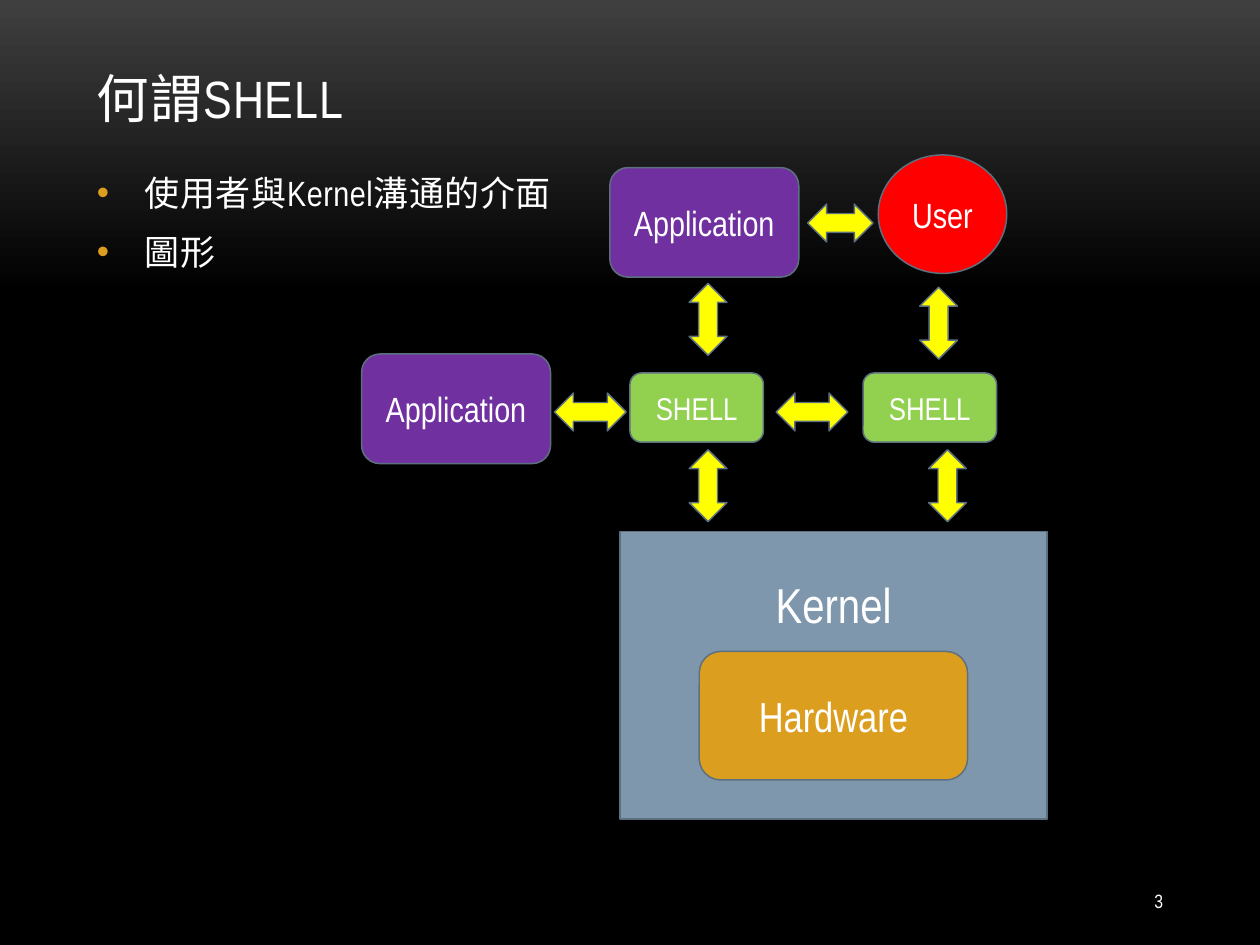
from pptx import Presentation
from pptx.dml.color import RGBColor
from pptx.enum.shapes import MSO_SHAPE
from pptx.enum.text import MSO_ANCHOR, PP_ALIGN
from pptx.oxml import parse_xml
from pptx.oxml.ns import nsdecls
from pptx.util import Inches, Pt


def color(hex_code):
    return RGBColor.from_string(hex_code)


def write(shape, text, size, align=PP_ALIGN.LEFT, anchor=MSO_ANCHOR.MIDDLE, spacing=0):
    """Fill a shape with text, one paragraph per line."""
    frame = shape.text_frame
    frame.word_wrap = True
    frame.vertical_anchor = anchor
    frame.text = text
    for para in frame.paragraphs:
        para.alignment = align
        for span in para.runs:
            span.font.size = Pt(size)
            span.font.name = "Arial Narrow"
            span.font.color.rgb = color("FFFFFF")
            if spacing:
                span.font._element.set("spc", str(int(spacing * 100)))
    return frame


deck = Presentation()
deck.slide_width = Inches(10)
deck.slide_height = Inches(7.5)
page = deck.slides.add_slide(deck.slide_layouts[6])

# Background: grey fading down to black
backdrop = page.background.fill
backdrop.gradient()
backdrop.gradient_angle = 270
for stop, (position, shade) in zip(backdrop.gradient_stops, [(0, "3F3F3F"), (0.31, "000000")]):
    stop.position = position
    stop.color.rgb = color(shade)

# Title and slide number
title = page.shapes.add_textbox(Inches(0.67), Inches(0.3), Inches(8.67), Inches(0.77))
write(title, "何謂SHELL", 30, anchor=MSO_ANCHOR.BOTTOM, spacing=0.5)
number = page.shapes.add_textbox(Inches(8.25), Inches(6.95), Inches(1.08), Inches(0.4))
write(number, "3", 11, align=PP_ALIGN.RIGHT)

# Bullet list
body = page.shapes.add_textbox(Inches(0.67), Inches(1.31), Inches(8.67), Inches(4.94))
points = write(body, "使用者與Kernel溝通的介面\n圖形", 20, anchor=MSO_ANCHOR.TOP, spacing=0.3)
for para in points.paragraphs:
    para.space_before = Pt(4)
    para.space_after = Pt(6)
    layout = para._p.get_or_add_pPr()
    layout.set("marL", str(Inches(0.38)))
    layout.set("indent", str(-Inches(0.38)))
    for xml in (
        f'<a:buClr {nsdecls("a")}><a:srgbClr val="DC9E1F"/></a:buClr>',
        f'<a:buFont {nsdecls("a")} typeface="Arial"/>',
        f'<a:buChar {nsdecls("a")} char="•"/>',
    ):
        layout.append(parse_xml(xml))

# Diagram: kind, left, top, width, height, fill, label, text size
RECT, ROUND, OVAL = MSO_SHAPE.RECTANGLE, MSO_SHAPE.ROUNDED_RECTANGLE, MSO_SHAPE.OVAL
parts = [
    (RECT, 4.92, 4.22, 3.39, 2.28, "7E97AD", "Kernel", 28),
    (ROUND, 5.55, 5.17, 2.13, 1.02, "DC9E1F", "Hardware", 24),
    (ROUND, 5, 2.96, 1.06, 0.55, "92D050", "SHELL", 18),
    (ROUND, 6.85, 2.96, 1.06, 0.55, "92D050", "SHELL", 18),
    (OVAL, 6.97, 1.23, 1.02, 0.94, "FF0000", "User", 20),
    (ROUND, 2.87, 2.81, 1.5, 0.87, "7030A0", "Application", 20),
    (ROUND, 4.84, 1.33, 1.5, 0.87, "7030A0", "Application", 20),
]

# Two-way arrows between the parts
for left, top in [(7.3, 2.28), (5.47, 2.25), (7.37, 3.57), (5.47, 3.57)]:
    parts.append((MSO_SHAPE.UP_DOWN_ARROW, left, top, 0.3, 0.57, "FFFF00", "", 18))
for left, top, width in [(4.4, 3.12, 0.57), (6.16, 3.12, 0.57), (6.41, 1.62, 0.52)]:
    parts.append((MSO_SHAPE.LEFT_RIGHT_ARROW, left, top, width, 0.3, "FFFF00", "", 18))

for kind, left, top, width, height, fill, label, size in parts:
    box = page.shapes.add_shape(kind, Inches(left), Inches(top), Inches(width), Inches(height))
    box.shadow.inherit = False
    box.fill.solid()
    box.fill.fore_color.rgb = color(fill)
    box.line.color.rgb = color("5D7080")
    box.line.width = Pt(0.85)
    if label:
        frame = write(box, label, size, align=PP_ALIGN.CENTER)
        if label == "Kernel":  # label sits above the hardware box
            frame.vertical_anchor = MSO_ANCHOR.TOP
            frame.margin_top = Inches(0.34)

deck.save("out.pptx")
